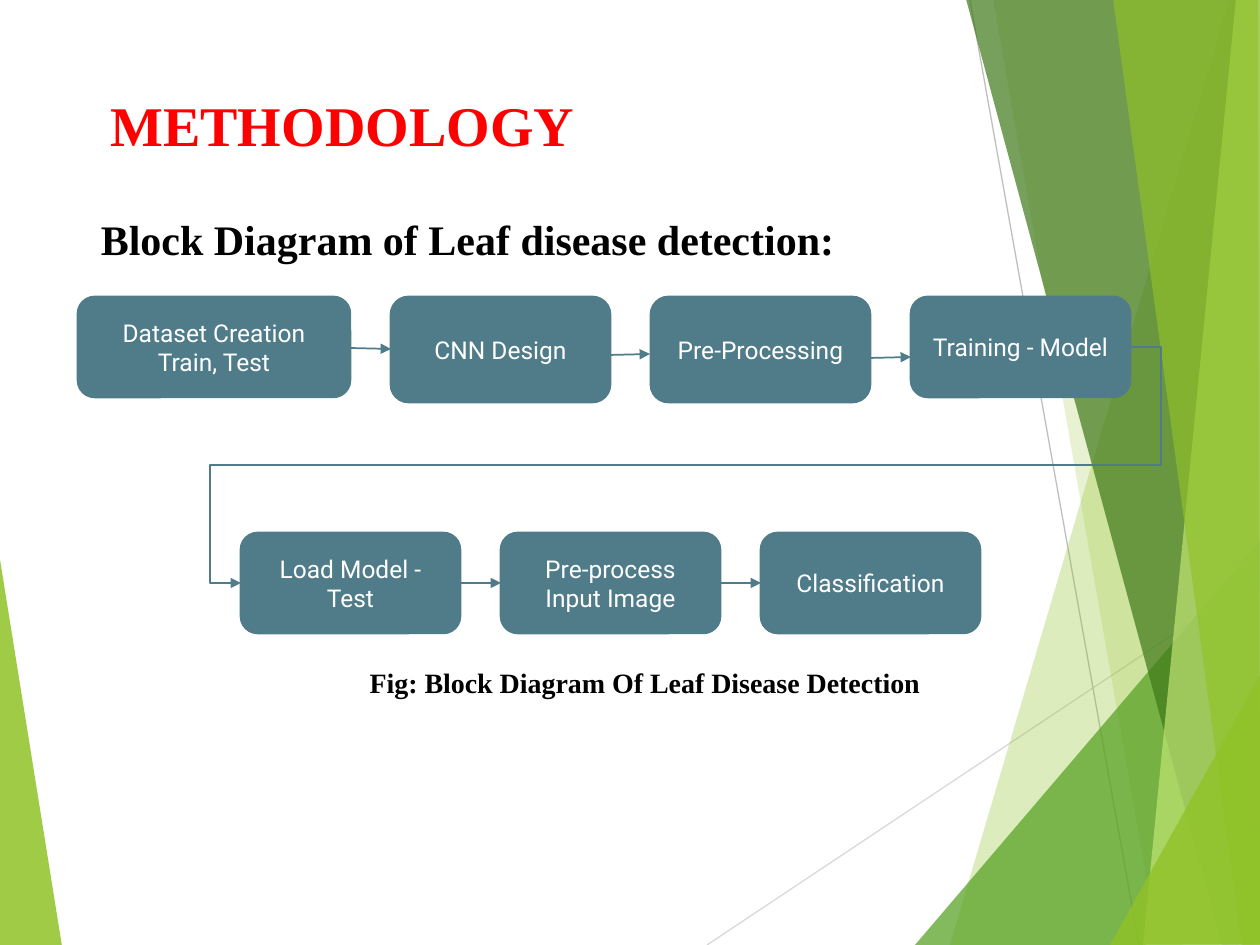
from lxml import etree
from pptx import Presentation, util as u
from pptx.dml.color import RGBColor
from pptx.enum import shapes, text
from pptx.oxml import ns

PX = 914400 / 126
WHITE = RGBColor(0xFF, 0xFF, 0xFF)
BLACK = RGBColor(0, 0, 0)
RED = RGBColor(0xFF, 0, 0)
TEAL = RGBColor(0x50, 0x7C, 0x89)
LIME = RGBColor(0x90, 0xC2, 0x26)
PALE_LIME = RGBColor(0xC0, 0xE4, 0x74)
GREEN = RGBColor(0x54, 0xA0, 0x21)
DARK_GREEN = RGBColor(0x3F, 0x78, 0x19)
GREY = RGBColor(0xBF, 0xBF, 0xBF)
LIGHT_GREY = RGBColor(0xD9, 0xD9, 0xD9)

deck = Presentation()
deck.slide_width, deck.slide_height = u.Inches(10), u.Inches(7.5)
page = deck.slides.add_slide(deck.slide_layouts[6])


def add_line(ends, color, width, arrow=False, kind=shapes.MSO_CONNECTOR.STRAIGHT):
    line = page.shapes.add_connector(kind, *(round(v * PX) for v in ends))
    line.line.color.rgb = color
    line.line.width = u.Pt(width)
    if arrow:
        etree.SubElement(line.line._get_or_add_ln(), ns.qn("a:tailEnd"), type="triangle")
    etree.SubElement(line._element.spPr, ns.qn("a:effectLst"))
    return line


def add_text(frame, lines, size, font, color, bold=False, align=None):
    frame.word_wrap = True
    for i, words in enumerate(lines):
        para = frame.paragraphs[0] if i == 0 else frame.add_paragraph()
        para.alignment = align
        span = para.add_run()
        span.text = words
        span.font.size = u.Pt(size)
        span.font.name = font
        span.font.bold = bold
        span.font.color.rgb = color


# Background rays and facets: colour, opacity in percent, corners
add_line((707, 945, 1261, 576), LIGHT_GREY, 0.75)
add_line((970, 0, 1139, 945), GREY, 0.75)
facets = [
    (LIME, 85, [(-1, 553), (62, 946), (-1, 945)]),
    (LIME, 30, [(1229, 0), (950, 945), (1262, 946), (1261, 1)]),
    (LIME, 20, [(993, -1), (1158, 945), (1261, 945), (1261, -1)]),
    (GREEN, 72, [(915, 945), (1260, 541), (1261, 945)]),
    (DARK_GREEN, 70, [(966, -1), (1222, 945), (1261, 944), (1261, -1)]),
    (PALE_LIME, 70, [(1236, -1), (1143, 945), (1261, 945), (1260, -1)]),
    (LIME, 65, [(1113, -1), (1242, 945), (1260, 945), (1258, -1)]),
    (LIME, 80, [(1110, 945), (1261, 674), (1261, 944)]),
]
for color, opacity, corners in facets:
    builder = page.shapes.build_freeform(*corners[0], scale=PX)
    builder.add_line_segments(corners[1:], close=True)
    facet = builder.convert_to_shape()
    facet.shadow.inherit = False
    facet.fill.solid()
    facet.fill.fore_color.rgb = color
    facet.line.fill.background()
    tint = facet._element.spPr.find(".//" + ns.qn("a:srgbClr"))
    etree.SubElement(tint, ns.qn("a:alpha"), val=str(opacity * 1000))

# Title, subtitle and caption
headings = [
    ((84, 84, 874, 181), " METHODOLOGY", 32, RED, None),
    ((78, 207, 1123, 63), " Block Diagram of Leaf disease detection:", 24, BLACK, None),
    ((59, 659, 1172, 47), "Fig: Block Diagram Of Leaf Disease Detection", 16, BLACK,
     text.PP_ALIGN.CENTER),
]
for place, words, size, color, align in headings:
    box = page.shapes.add_textbox(*(round(v * PX) for v in place))
    add_text(box.text_frame, [words], size, "Times New Roman", color, True, align)

# Process steps: two rows on one horizontal pitch
STEP_W, PITCH = 219, 260
ROW_1, ROW_2 = 297, 533
LEFT_1, LEFT_2 = 391, 241
steps = [
    (78, ROW_1, 272, 100, ["Dataset Creation", "Train, Test"]),
    (LEFT_1, ROW_1, STEP_W, 105, ["CNN Design"]),
    (LEFT_1 + PITCH, ROW_1, STEP_W, 105, ["Pre-Processing"]),
    (LEFT_1 + 2 * PITCH, ROW_1, STEP_W, 100, ["Training - Model"]),
]
for i, words in enumerate(["Load Model - Test", "Pre-process Input Image", "Classification"]):
    steps.append((LEFT_2 + i * PITCH, ROW_2, STEP_W, 100, [words]))
for *place, lines in steps:
    step = page.shapes.add_shape(shapes.MSO_SHAPE.ROUNDED_RECTANGLE,
                                 *(round(v * PX) for v in place))
    step.shadow.inherit = False
    step.fill.solid()
    step.fill.fore_color.rgb = TEAL
    step.line.color.rgb = TEAL
    step.line.width = u.Pt(1.5)
    step.text_frame.vertical_anchor = text.MSO_ANCHOR.MIDDLE
    add_text(step.text_frame, lines, 14, "Roboto", WHITE, align=text.PP_ALIGN.CENTER)

# Arrows between neighbouring steps
MIDDLE_2 = ROW_2 + 50
arrows = [(350, 348, 391, 349), (609, 355, 650, 354), (870, 358, 911, 357)]
for i in range(2):
    start = LEFT_2 + STEP_W + i * PITCH
    arrows.append((start, MIDDLE_2, start + PITCH - STEP_W, MIDDLE_2))
for ends in arrows:
    add_line(ends, TEAL, 1, arrow=True)

# Elbow arrow from the first row back to the second
turn = add_line((LEFT_1 + 2 * PITCH + STEP_W, 347, LEFT_2, MIDDLE_2), TEAL, 1,
                arrow=True, kind=shapes.MSO_CONNECTOR.ELBOW)
geometry = turn._element.spPr.find(ns.qn("a:prstGeom"))
geometry.set("prst", "bentConnector5")
guides = geometry.find(ns.qn("a:avLst"))
if guides is None:
    guides = etree.SubElement(geometry, ns.qn("a:avLst"))
for i, bend in enumerate((-3500, 50000, 103500), 1):
    etree.SubElement(guides, ns.qn("a:gd"), name=f"adj{i}", fmla=f"val {bend}")

deck.save("out.pptx")
